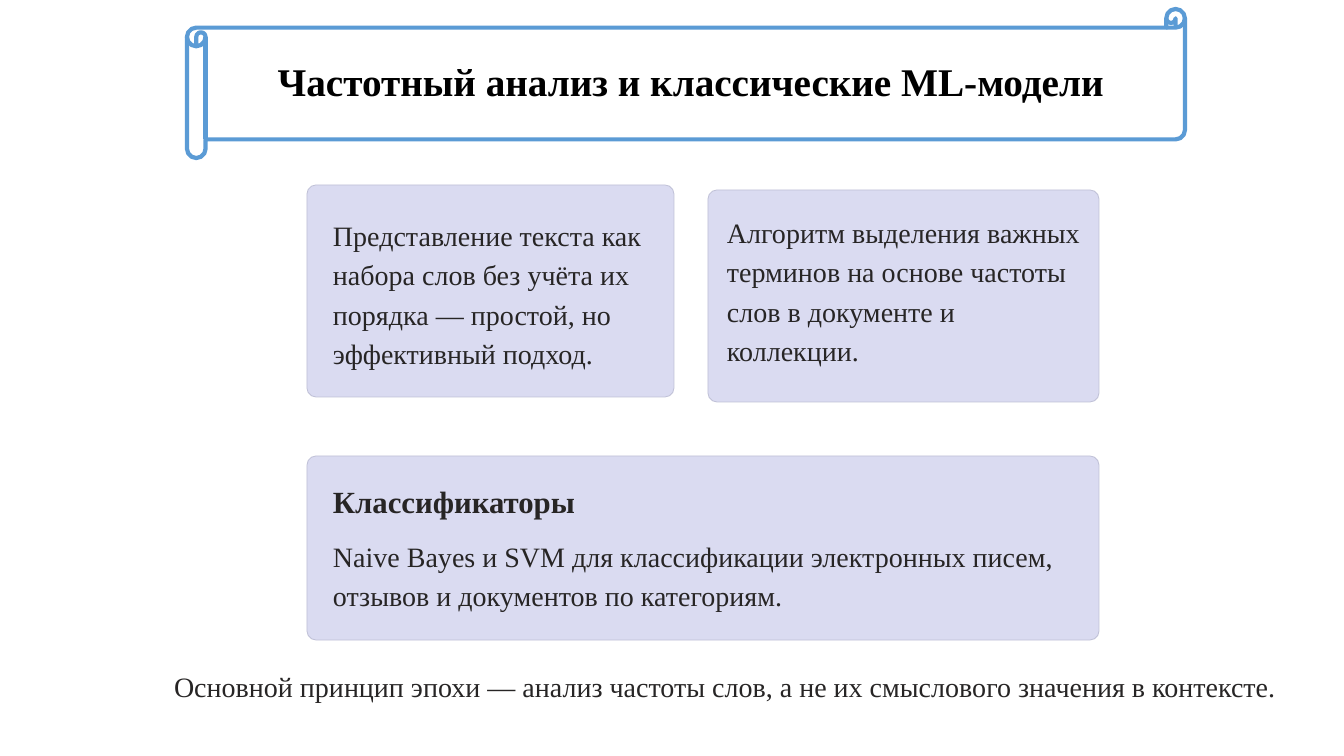
from pptx import Presentation
from pptx.dml.color import RGBColor
from pptx.enum.shapes import MSO_SHAPE as Shape
from pptx.enum.text import MSO_ANCHOR as Anchor, PP_ALIGN as Align
from pptx.util import Pt

BLACK = RGBColor(0x00, 0x00, 0x00)
INK = RGBColor(0x27, 0x25, 0x25)
BLUE = RGBColor(0x5B, 0x9B, 0xD5)
LILAC = RGBColor(0xDA, 0xDB, 0xF1)
EDGE = RGBColor(0xC0, 0xC1, 0xD7)
FONT = "Times New Roman"

TITLE = "Частотный анализ и классические ML-модели"
BANNER = (187, 9, 998, 149)
CARD_RADIUS = 9
CARDS = [
    (307, 185, 367, 212),
    (708, 190, 391, 212),
    (307, 456, 792, 184),
]
HEADING = ("Классификаторы", (333, 481, 310, 38))
NOTES = [
    ("Представление текста как набора слов без учёта их порядка — простой, "
     "но эффективный подход.", (333, 213, 354, 158)),
    ("Алгоритм выделения важных терминов на основе частоты слов в документе "
     "и коллекции.", (727, 210, 354, 158)),
    ("Naive Bayes и SVM для классификации электронных писем, отзывов "
     "и документов по категориям.", (333, 534, 783, 80)),
    ("Основной принцип эпохи — анализ частоты слов, а не их смыслового "
     "значения в контексте.", (174, 664, 1169, 80)),
]


def px(length):
    return round(length * 914400 / 100.8)


def add_panel(page, kind, place, line_color, line_width):
    panel = page.shapes.add_shape(kind, *map(px, place))
    panel.shadow.inherit = False
    panel.line.color.rgb = line_color
    panel.line.width = Pt(line_width)
    return panel


def write(box, text, size, spacing, color=INK, bold=False, wrap=True, align=Align.LEFT):
    frame = box.text_frame
    frame.margin_left = frame.margin_right = 0
    frame.margin_top = frame.margin_bottom = 0
    frame.vertical_anchor = Anchor.TOP
    frame.word_wrap = wrap
    para = frame.paragraphs[0]
    para.alignment = align
    para.line_spacing = Pt(spacing)
    span = para.add_run()
    span.text = text
    span.font.name = FONT
    span.font.size = Pt(size)
    span.font.bold = bold
    span.font.color.rgb = color


def main():
    deck = Presentation()
    deck.slide_width, deck.slide_height = px(1344), px(756)
    page = deck.slides.add_slide(deck.slide_layouts[6])

    banner = add_panel(page, Shape.HORIZONTAL_SCROLL, BANNER, BLUE, 3)
    banner.fill.background()
    write(banner, TITLE, 28, 55, BLACK, bold=True, wrap=False, align=Align.CENTER)

    for place in CARDS:
        card = add_panel(page, Shape.ROUNDED_RECTANGLE, place, EDGE, 0.6)
        card.adjustments[0] = CARD_RADIUS / min(place[2:])
        card.fill.solid()
        card.fill.fore_color.rgb = LILAC

    text, place = HEADING
    box = page.shapes.add_textbox(*map(px, place))
    write(box, text, 22, 27.5, bold=True, wrap=False)

    for text, place in NOTES:
        box = page.shapes.add_textbox(*map(px, place))
        write(box, text, 20, 28)

    deck.save("out.pptx")


if __name__ == "__main__":
    main()
